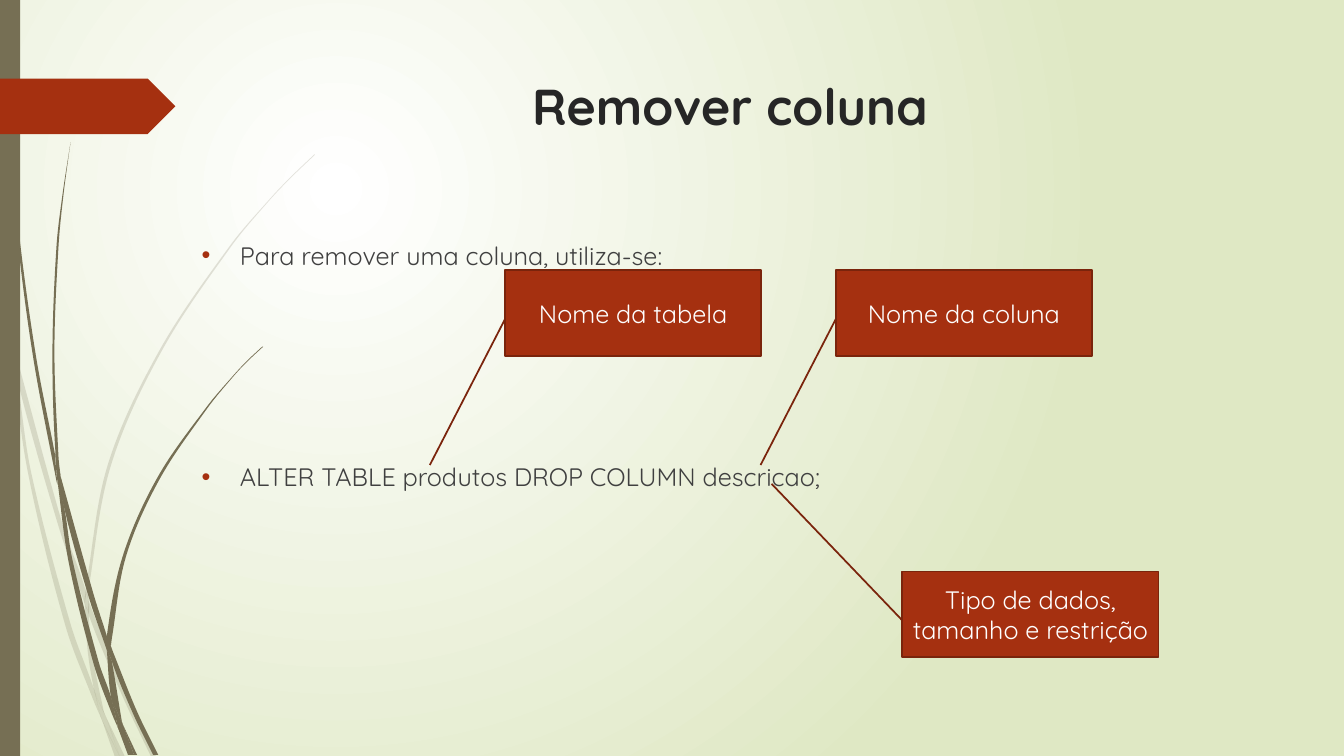
import math
from dataclasses import dataclass

from lxml import etree
from pptx import Presentation
from pptx import util as u
from pptx.dml.color import RGBColor
from pptx.enum import shapes, text
from pptx.oxml import ns


@dataclass(frozen=True)
class Theme:
    """Colours, font and type sizes of the slide."""

    font: str = "Quicksand"
    accent: str = "A53010"
    accent_edge: str = "7A240C"
    stalk: str = "766F54"
    title: str = "262626"
    body: str = "404040"
    light: str = "FFFFFF"
    backdrop: str = "DFE8C4"
    title_size: int = 36
    body_size: int = 18


THEME = Theme()

FAINT_BLADES = [
    [(0.11, 3.5), (0.09, 3.22), (0, 2.82), (0, 2.99), (0.1, 3.44)],
    [(0.58, 5.22), (0.84, 5.99), (0.85, 5.86), (0.62, 5.2), (0.14, 3.45), (0.17, 3.76)],
    [(0.92, 6.07), (0.88, 5.96), (0.88, 6.1), (1.23, 6.94), (1.5, 7.51), (1.55, 7.51),
     (1.27, 6.92)],
    [(1.19, 7.51), (1.24, 7.51), (1.05, 7.11)],
    [(0.93, 6.83), (0.7, 6.19), (0.31, 4.69), (0.17, 3.76), (0.11, 3.5), (0.28, 4.7),
     (0.65, 6.21), (0.92, 6.93), (1.01, 7.14), (0.99, 7.07)],
    [(0.84, 5.99), (0.87, 6.46), (0.93, 6.83), (0.96, 6.92), (1.05, 7.11), (1.03, 7.06),
     (0.91, 6.46), (0.88, 6.1), (0.88, 6.08)],
    [(0.88, 5.84), (1.1, 4.62), (1.6, 3.49), (2.29, 2.45), (2.68, 1.98), (2.9, 1.75),
     (3.12, 1.54), (3.12, 1.53), (2.89, 1.75), (2.68, 1.97), (2.28, 2.44), (1.58, 3.48),
     (1.07, 4.61), (0.85, 5.84), (0.85, 5.86), (0.88, 5.96)],
    [(1.01, 7.14), (1.14, 7.51), (1.19, 7.51)],
    [(0.88, 6.08), (0.88, 6.1), (0.88, 5.96), (0.85, 5.86), (0.84, 5.99)],
    [(0.96, 6.92), (0.93, 6.83), (0.99, 7.07), (1.01, 7.14), (1.19, 7.51), (1.05, 7.11)],
]
DARK_BLADES = [
    [(0.07, 1.1), (0.17, 2.33), (0.33, 3.55), (0.56, 4.77), (0.57, 4.81), (0.55, 4.57),
     (0.55, 4.53), (0.36, 3.55), (0.19, 2.32), (0.08, 1.09), (0.05, 0.48), (0.04, 0),
     (0.03, 0), (0.04, 0.48)],
    [(0.88, 5.92), (1.06, 6.45), (1.06, 6.33), (1.06, 6.31), (0.93, 5.9), (0.6, 4.72),
     (0.64, 5.05)],
    [(1.13, 6.49), (1.1, 6.41), (1.11, 6.56), (1.32, 7.08), (1.52, 7.49), (1.57, 7.49),
     (1.36, 7.06)],
    [(1.1, 6.91), (0.98, 6.57), (0.72, 5.56), (0.64, 5.05), (0.57, 4.77), (0.68, 5.57),
     (0.93, 6.59), (1.11, 7.08), (1.17, 7.22), (1.16, 7.17)],
    [(0.6, 4.72), (0.58, 4.53), (0.54, 3.49), (0.58, 2.45), (0.63, 1.93), (0.7, 1.41),
     (0.62, 1.93), (0.56, 2.45), (0.52, 3.49), (0.55, 4.49)],
    [(1.33, 7.49), (1.36, 7.49), (1.22, 7.19)],
    [(0.57, 4.77), (0.64, 5.05), (0.6, 4.72), (0.55, 4.49), (0.55, 4.53)],
    [(1.11, 6.33), (1.25, 5.52), (1.58, 4.76), (2.05, 4.06), (2.31, 3.74), (2.45, 3.59),
     (2.61, 3.44), (2.6, 3.44), (2.45, 3.58), (2.31, 3.73), (2.04, 4.05), (1.56, 4.74),
     (1.22, 5.51), (1.06, 6.31), (1.1, 6.41)],
    [(1.17, 7.22), (1.27, 7.49), (1.31, 7.49)],
    [(1.06, 6.45), (1.1, 6.91), (1.16, 7.06), (1.22, 7.19), (1.21, 7.16), (1.11, 6.56),
     (1.09, 6.51)],
    [(1.06, 6.45), (1.09, 6.51), (1.11, 6.56), (1.1, 6.41), (1.06, 6.31), (1.06, 6.33)],
    [(1.16, 7.06), (1.1, 6.91), (1.16, 7.17), (1.17, 7.22), (1.3, 7.49), (1.33, 7.49),
     (1.22, 7.19)],
]
LABELS = [
    ("Nome da tabela", 5.01, 2.68, (0.571, 0, 2.275, -0.294)),
    ("Nome da coluna", 8.29, 2.68, (0.571, 0, 2.275, -0.294)),
    ("Tipo de dados, tamanho e restrição", 8.95, 5.67, (0.571, 0, -1.025, -0.511)),
]
INSTRUCTIONS = [
    ("Para remover uma coluna, utiliza-se:", 0),
    ("ALTER TABLE produtos DROP COLUMN descricao;", 136.5),
]


def assign(target, values):
    """Set every attribute named in values on the target."""
    for name, value in values.items():
        setattr(target, name, value)


def style_font(font, size, color, bold=False):
    """Give a font the theme face, a size and a colour."""
    assign(font, {"name": THEME.font, "size": u.Pt(size), "bold": bold})
    font.color.rgb = RGBColor.from_string(color)


def paint(shape, color, edge=None):
    """Fill a shape and draw its edge only when one is named."""
    shape.shadow.inherit = False
    shape.fill.solid()
    shape.fill.fore_color.rgb = RGBColor.from_string(color)
    if edge:
        shape.line.color.rgb = RGBColor.from_string(edge)
        shape.line.width = u.Pt(1.25)
    else:
        shape.line.fill.background()


def add_backdrop(slide):
    """Shade the background outwards from a pale spot at the upper left."""
    fill = slide.background.fill
    fill.gradient()
    for stop, color in zip(fill.gradient_stops, (THEME.light, THEME.backdrop)):
        stop.color.rgb = RGBColor.from_string(color)
    gradient = slide.element.find(".//" + ns.qn("a:gradFill"))
    gradient.remove(gradient.find(ns.qn("a:lin")))
    circle = etree.SubElement(gradient, ns.qn("a:path"), path="circle")
    etree.SubElement(circle, ns.qn("a:fillToRect"),
                     l="50000", t="50000", r="100000", b="100000")


def handle(before, point, after, toward):
    """Return the Bezier handle of a point, straight at sharp corners."""
    reach = math.dist(point, toward) / 3
    heading = math.atan2(after[1] - point[1], after[0] - point[0])
    arrival = math.atan2(point[1] - before[1], point[0] - before[0])
    if math.cos(heading - arrival) > 0.8:
        angle = math.atan2(after[1] - before[1], after[0] - before[0])
        reach = reach if toward == after else -reach
    else:
        angle = math.atan2(toward[1] - point[1], toward[0] - point[0])
    return point[0] + reach * math.cos(angle), point[1] + reach * math.sin(angle)


def curve_outline(shape):
    """Turn the straight sides of a closed freeform into smooth curves."""
    outline = shape.element.find(".//" + ns.qn("a:path"))
    points = [(int(point.get("x")), int(point.get("y")))
              for point in outline.iter(ns.qn("a:pt"))][:-1]
    count = len(points)
    for index, side in enumerate(outline.findall(ns.qn("a:lnTo"))):
        before, start, end, after = (points[(index + k) % count] for k in (-1, 0, 1, 2))
        curve = etree.Element(ns.qn("a:cubicBezTo"))
        for x, y in (handle(before, start, end, end), handle(start, end, after, start), end):
            etree.SubElement(curve, ns.qn("a:pt"), x=str(round(x)), y=str(round(y)))
        outline.replace(side, curve)


def add_blade(slide, corners, opacity):
    """Draw one curved piece of the grass."""
    outline = [tuple(map(u.Inches, corner)) for corner in corners]
    builder = slide.shapes.build_freeform(*outline[0])
    builder.add_line_segments(outline[1:] + outline[:1], close=True)
    shape = builder.convert_to_shape()
    curve_outline(shape)
    paint(shape, THEME.stalk)
    if opacity < 100:
        color = shape.element.spPr.find(".//" + ns.qn("a:srgbClr"))
        etree.SubElement(color, ns.qn("a:alpha"), val=str(opacity * 1000))


def add_block(slide, kind, left, top, width, height, color, edge=None):
    """Add a painted preset shape."""
    shape = slide.shapes.add_shape(kind, *map(u.Inches, (left, top, width, height)))
    paint(shape, color, edge)
    return shape


def add_label(slide, wording, left, top, pointer):
    """Add a callout box with its pointer line."""
    shape = add_block(slide, shapes.MSO_SHAPE.LINE_CALLOUT_1, left, top, 2.54, 0.85,
                      THEME.accent, THEME.accent_edge)
    for index, value in enumerate(pointer):
        shape.adjustments[index] = value
    assign(shape.text_frame, {"text": wording, "word_wrap": True,
                              "vertical_anchor": text.MSO_ANCHOR.MIDDLE})
    paragraph = shape.text_frame.paragraphs[0]
    paragraph.alignment = text.PP_ALIGN.CENTER
    style_font(paragraph.runs[0].font, THEME.body_size, THEME.light)


def place(placeholder, top, height):
    """Position a placeholder in front of the decoration and return its frame."""
    assign(placeholder, {"left": u.Inches(1.9), "top": u.Inches(top),
                         "width": u.Inches(10.68), "height": u.Inches(height)})
    placeholder.element.getparent().append(placeholder.element)
    frame = placeholder.text_frame
    assign(frame, {"word_wrap": True, "auto_size": text.MSO_AUTO_SIZE.NONE,
                   "vertical_anchor": text.MSO_ANCHOR.TOP})
    return frame


def write_title(slide, wording):
    """Write the centred slide title."""
    frame = place(slide.shapes.title, 0.69, 1.4)
    frame.text = wording
    paragraph = frame.paragraphs[0]
    paragraph.alignment = text.PP_ALIGN.CENTER
    style_font(paragraph.runs[0].font, THEME.title_size, THEME.title, bold=True)


def write_list(slide, items):
    """Write the bulleted list, each item with its own space before."""
    frame = place(slide.placeholders[1], 2.33, 4.86)
    for index, (wording, gap) in enumerate(items):
        paragraph = frame.add_paragraph() if index else frame.paragraphs[0]
        properties = paragraph._p.get_or_add_pPr()
        for name, value in {"marL": 0.38, "indent": -0.38}.items():
            properties.set(name, str(u.Inches(value)))
        color = etree.SubElement(properties, ns.qn("a:buClr"))
        etree.SubElement(color, ns.qn("a:srgbClr"), val=THEME.accent)
        etree.SubElement(properties, ns.qn("a:buFont"), typeface="Arial")
        etree.SubElement(properties, ns.qn("a:buChar"), char="•")
        paragraph.space_before = u.Pt(gap)
        run = paragraph.add_run()
        run.text = wording
        style_font(run.font, THEME.body_size, THEME.body)


def main():
    """Build and save the slide."""
    presentation = Presentation()
    assign(presentation, {"slide_width": u.Inches(13.33), "slide_height": u.Inches(7.5)})
    slide = presentation.slides.add_slide(presentation.slide_layouts[1])
    add_backdrop(slide)
    for blades, opacity in ((FAINT_BLADES, 20), (DARK_BLADES, 100)):
        for corners in blades:
            add_blade(slide, corners, opacity)
    add_block(slide, shapes.MSO_SHAPE.RECTANGLE, 0, 0, 0.2, 7.5, THEME.stalk)
    add_block(slide, shapes.MSO_SHAPE.PENTAGON, 0, 0.78, 1.74, 0.55, THEME.accent)
    write_title(slide, "Remover coluna")
    write_list(slide, INSTRUCTIONS)
    for label in LABELS:
        add_label(slide, *label)
    presentation.save("out.pptx")


if __name__ == "__main__":
    main()
